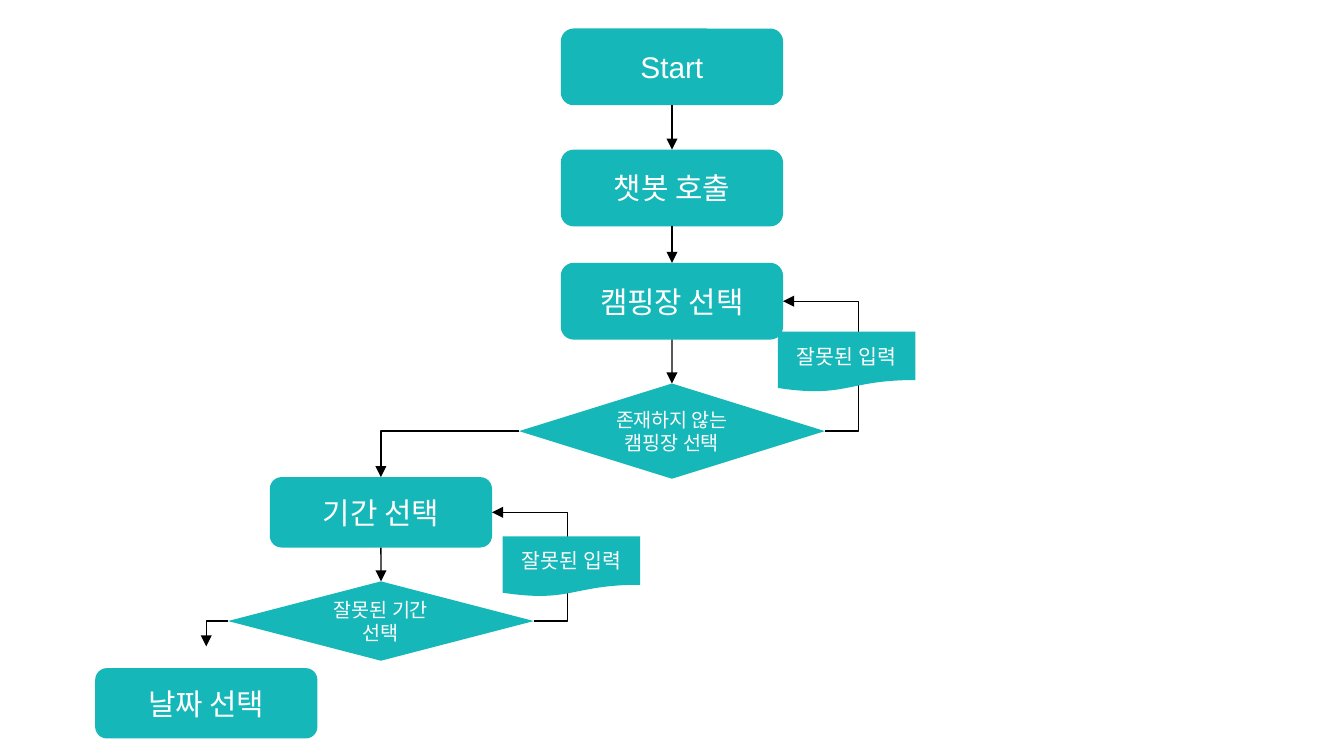
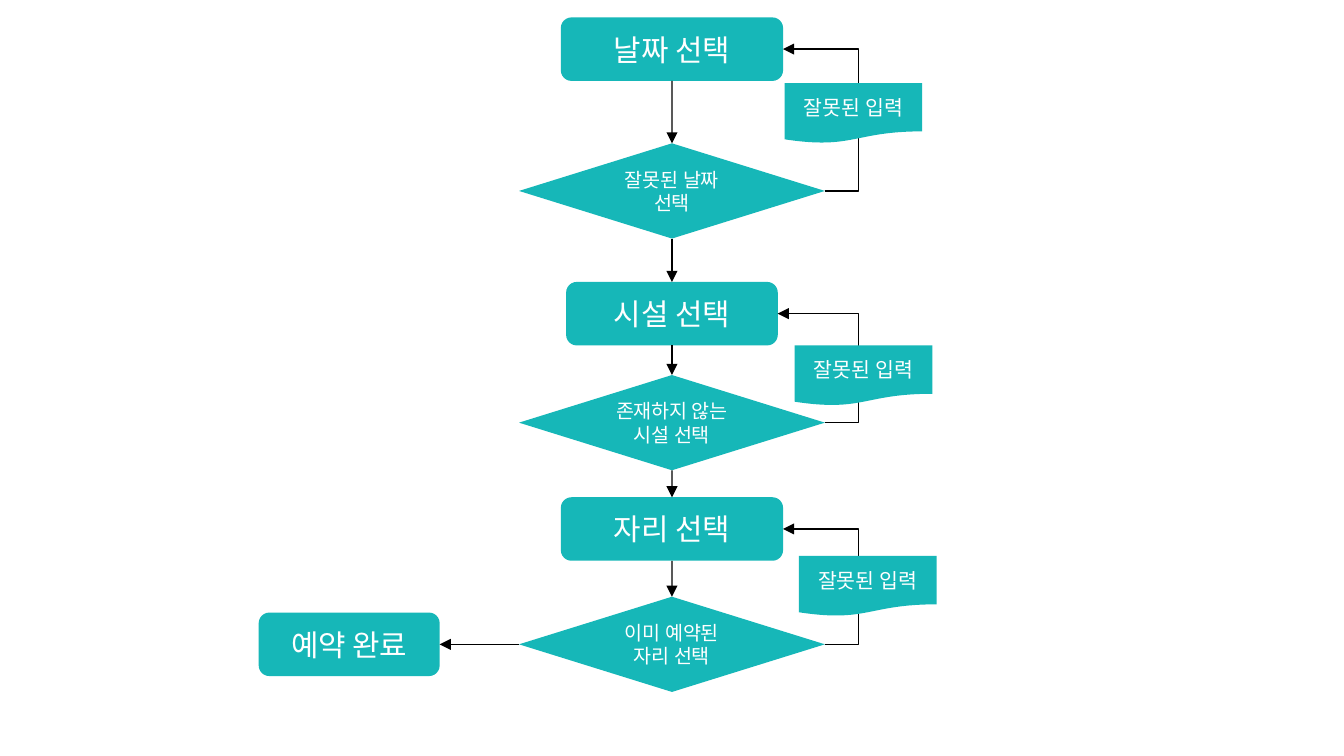
from pptx import Presentation
from pptx import util as u
from pptx.dml import color
from pptx.enum import shapes, text
from pptx.oxml import ns
from lxml import etree

COLORS = {"teal": "16B7B8", "white": "FFFFFF", "black": "000000"}
FONT = "Arial"
TOP, LEFT, BOTTOM, RIGHT = range(4)
STRAIGHT, ELBOW = shapes.MSO_CONNECTOR.STRAIGHT, shapes.MSO_CONNECTOR.ELBOW
CENTER = 12.7


class Flow:
    """Draws flowchart elements on the current slide, with lengths in cm."""

    def __init__(self, prs):
        self.prs = prs
        self.s = None

    def new_slide(self):
        self.s = self.prs.slides.add_slide(self.prs.slide_layouts[6])

    def node(self, kind, x, y, w, h, label, size):
        sp = self.s.shapes.add_shape(kind, u.Cm(x), u.Cm(y), u.Cm(w), u.Cm(h))
        sp.shadow.inherit = False
        sp.fill.solid()
        sp.fill.fore_color.rgb = color.RGBColor.from_string(COLORS["teal"])
        sp.line.fill.background()
        tf = sp.text_frame
        tf.word_wrap = True
        tf.vertical_anchor = text.MSO_ANCHOR.MIDDLE
        tf.margin_left = tf.margin_right = u.Cm(0.25)
        tf.margin_top = tf.margin_bottom = u.Cm(0.25)
        tf.text = label
        for p in tf.paragraphs:
            p.alignment = text.PP_ALIGN.CENTER
            p.font.name = FONT
            p.font.size = u.Pt(size)
            p.font.color.rgb = color.RGBColor.from_string(COLORS["white"])
        return sp

    def step(self, cx, y, h, label, w=4.2):
        kind = shapes.MSO_SHAPE.FLOWCHART_ALTERNATE_PROCESS
        return self.node(kind, cx - w / 2, y, w, h, label, 16)

    def decision(self, cx, y, label, h=1.8, w=5.78):
        kind = shapes.MSO_SHAPE.FLOWCHART_DECISION
        return self.node(kind, cx - w / 2, y, w, h, label, 10.5)

    def document(self, x, y, label="잘못된 입력"):
        self.node(shapes.MSO_SHAPE.FLOWCHART_DOCUMENT, x, y, 2.6, 1.14, label, 11)

    def arrow(self, a, a_side, b, b_side, kind=STRAIGHT, end=(0, 0)):
        c = self.s.shapes.add_connector(kind, 0, 0, u.Cm(end[0]), u.Cm(end[1]))
        c.begin_connect(a, a_side)
        if b is not None:
            c.end_connect(b, b_side)
        c.line.color.rgb = color.RGBColor.from_string(COLORS["black"])
        c.line.width = u.Pt(0.75)
        etree.SubElement(c.line._get_or_add_ln(), ns.qn("a:tailEnd"), type="triangle")
        etree.SubElement(c._element.spPr, ns.qn("a:effectLst"))
        return c

    def down(self, *nodes):
        for a, b in zip(nodes, nodes[1:]):
            self.arrow(a, BOTTOM, b, TOP)

    def corner(self, a, b=None, end=(0, 0)):
        c = self.arrow(a, LEFT, b, TOP, ELBOW, end)
        c._element.spPr.find(ns.qn("a:prstGeom")).set("prst", "bentConnector2")

    def retry(self, check, step, doc_x, doc_y):
        c = self.arrow(check, RIGHT, step, RIGHT, ELBOW)
        bend = round(-100000 * u.Cm(0.64) / c.width)
        guides = c._element.spPr.find(ns.qn("a:prstGeom")).find(ns.qn("a:avLst"))
        etree.SubElement(guides, ns.qn("a:gd"), name="adj1", fmla=f"val {bend}")
        self.document(doc_x, doc_y)


def site_and_period(flow):
    flow.new_slide()
    start = flow.step(CENTER, 0.54, 1.45, "Start")
    call = flow.step(CENTER, 2.83, 1.45, "챗봇 호출")
    site = flow.step(CENTER, 4.97, 1.45, "캠핑장 선택")
    site_check = flow.decision(CENTER, 7.25, "존재하지 않는 캠핑장 선택")
    period = flow.step(7.2, 9.02, 1.33, "기간 선택")
    period_check = flow.decision(7.2, 10.99, "잘못된 기간\n선택", h=1.5)
    flow.step(3.9, 12.63, 1.33, "날짜 선택")
    flow.down(start, call, site, site_check)
    flow.down(period, period_check)
    flow.corner(site_check, period)
    flow.corner(period_check, end=(3.9, 12.22))
    flow.retry(site_check, site, 14.7, 6.27)
    flow.retry(period_check, period, 9.5, 10.14)


def date_to_booking(flow):
    flow.new_slide()
    stages = [
        ("날짜 선택", 0.33, 4.2, "잘못된 날짜 선택", 2.71, 14.83, 1.57),
        ("시설 선택", 5.33, 4.0, "존재하지 않는 시설 선택", 7.09, 15.02, 6.53),
        ("자리 선택", 9.4, 4.2, "이미 예약된 자리 선택", 11.28, 15.1, 10.51),
    ]
    chain = []
    for label, y, w, question, check_y, doc_x, doc_y in stages:
        step = flow.step(CENTER, y, 1.2, label, w)
        check = flow.decision(CENTER, check_y, question)
        flow.retry(check, step, doc_x, doc_y)
        chain += [step, check]
    flow.down(*chain)
    done = flow.step(6.6, 11.58, 1.2, "예약 완료", w=3.42)
    flow.arrow(chain[-1], LEFT, done, RIGHT)


def main():
    prs = Presentation()
    prs.slide_width, prs.slide_height = u.Cm(25.4), u.Cm(14.29)
    flow = Flow(prs)
    site_and_period(flow)
    date_to_booking(flow)
    prs.save("out.pptx")


if __name__ == "__main__":
    main()
